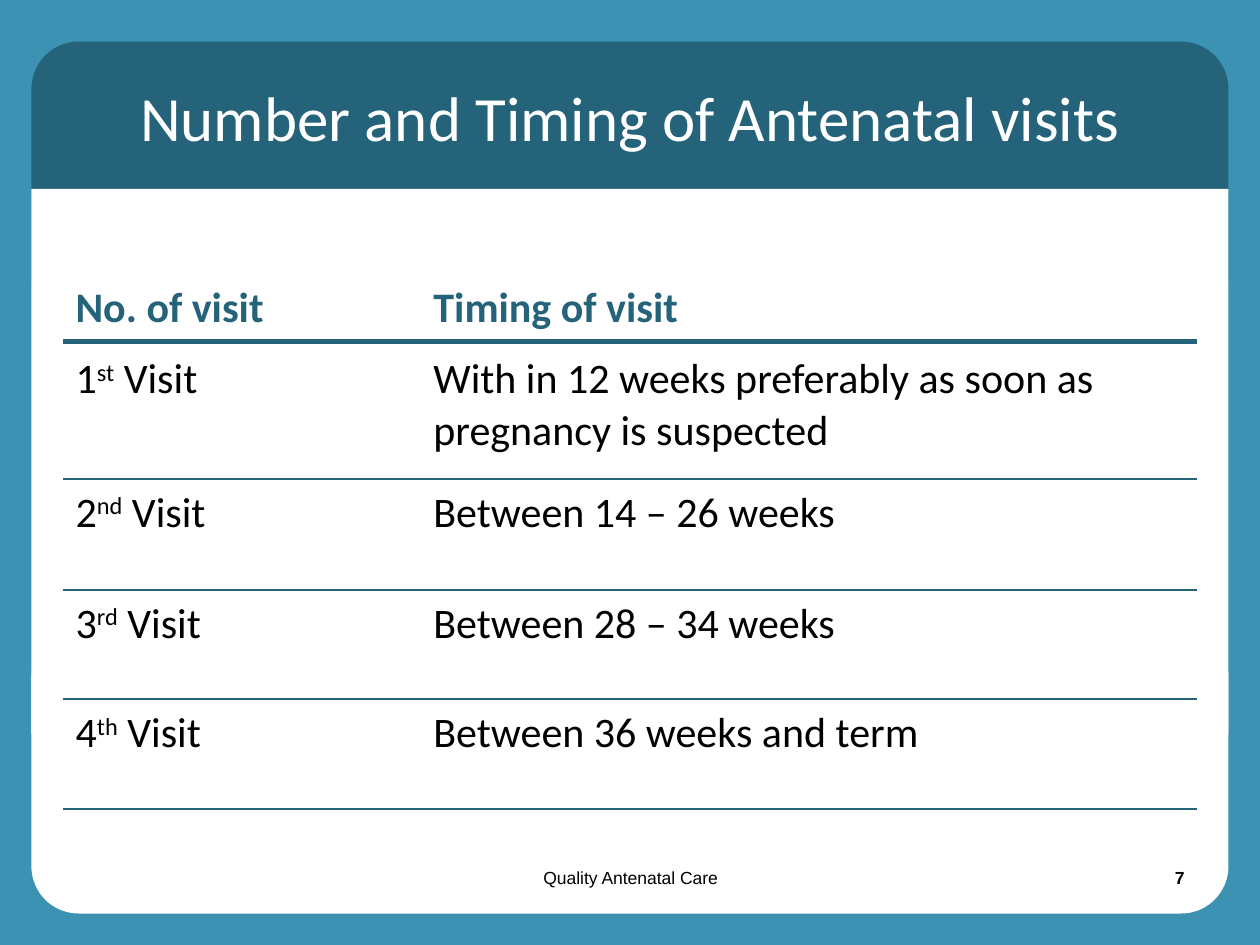
from dataclasses import dataclass
from itertools import accumulate

from lxml import etree
from pptx import Presentation
from pptx.dml.color import RGBColor
from pptx.enum import shapes, text
from pptx.oxml import ns
from pptx.util import Inches, Pt


@dataclass(frozen=True)
class Theme:
    sky: str = "3C92B3"
    teal: str = "24637A"
    white: str = "FFFFFF"
    black: str = "000000"
    body_font: str = "Calibri"
    footer_font: str = "Arial"
    title_size: int = 36
    table_size: int = 24
    footer_size: int = 10
    header_rule: int = 3
    row_rule: int = 1


THEME = Theme()
NO_STYLE = "{2D5ABB26-0587-4C30-8999-92F81FD0307C}"
TABLE_LEFT, TABLE_TOP = 0.5, 2.17
COLUMN_WIDTHS = (2.84, 6.16)
ROW_HEIGHTS = (0.54, 1.09, 0.88, 0.87, 0.87)
TOP_MARGINS = (0.07, 0.1, 0.07, 0.07, 0.07)
VISITS = (
    ("1", "st", "With in 12 weeks preferably as soon as pregnancy is suspected"),
    ("2", "nd", "Between 14 – 26 weeks"),
    ("3", "rd", "Between 28 – 34 weeks"),
    ("4", "th", "Between 36 weeks and term"),
)


def add_panel(slide, kind, left, top, width, height, color):
    panel = slide.shapes.add_shape(
        kind, Inches(left), Inches(top), Inches(width), Inches(height))
    panel.shadow.inherit = False
    panel.fill.solid()
    panel.fill.fore_color.rgb = RGBColor.from_string(color)
    panel.line.fill.background()


def add_span(para, words, size, color=THEME.black, font=THEME.body_font,
             bold=False, raised=False):
    span = para.add_run()
    span.text = words
    span.font.name = font
    span.font.size = Pt(size)
    span.font.bold = bold
    span.font.color.rgb = RGBColor.from_string(color)
    if raised:
        span.font._element.set("baseline", "30000")


def add_text(slide, left, top, width, height, words, align,
             anchor=text.MSO_ANCHOR.TOP, **style):
    box = slide.shapes.add_textbox(
        Inches(left), Inches(top), Inches(width), Inches(height))
    frame = box.text_frame
    frame.word_wrap = True
    frame.vertical_anchor = anchor
    para = frame.paragraphs[0]
    para.alignment = align
    add_span(para, words, **style)


def add_rule(slide, top, points):
    right = TABLE_LEFT + sum(COLUMN_WIDTHS)
    rule = slide.shapes.add_connector(
        shapes.MSO_CONNECTOR.STRAIGHT, Inches(TABLE_LEFT), Inches(top),
        Inches(right), Inches(top))
    rule.line.width = Pt(points)
    rule.line.color.rgb = RGBColor.from_string(THEME.teal)
    etree.SubElement(rule._element.spPr, ns.qn("a:effectLst"))


def add_visit_table(slide):
    table = slide.shapes.add_table(
        len(ROW_HEIGHTS), len(COLUMN_WIDTHS), Inches(TABLE_LEFT),
        Inches(TABLE_TOP), Inches(sum(COLUMN_WIDTHS)),
        Inches(sum(ROW_HEIGHTS))).table
    table.horz_banding = False
    table._tbl.tblPr.find(ns.qn("a:tableStyleId")).text = NO_STYLE
    for column, width in zip(table.columns, COLUMN_WIDTHS):
        column.width = Inches(width)
    for row, height, margin in zip(table.rows, ROW_HEIGHTS, TOP_MARGINS):
        row.height = Inches(height)
        for cell in row.cells:
            cell.fill.background()
            cell.margin_top = Inches(margin)

    size = THEME.table_size
    for column, heading in enumerate(("No. of visit", "Timing of visit")):
        para = table.cell(0, column).text_frame.paragraphs[0]
        add_span(para, heading, size, THEME.teal, bold=True)
    for row, (number, suffix, timing) in enumerate(VISITS, start=1):
        visit, when = (
            table.cell(row, column).text_frame.paragraphs[0]
            for column in range(2))
        add_span(visit, number, size)
        add_span(visit, suffix, size, raised=True)
        add_span(visit, " Visit", size)
        add_span(when, timing, size)


def add_row_rules(slide):
    for index, offset in enumerate(accumulate(ROW_HEIGHTS)):
        points = THEME.header_rule if index == 0 else THEME.row_rule
        add_rule(slide, TABLE_TOP + offset, points)


def add_background(slide):
    kinds = shapes.MSO_SHAPE
    add_panel(slide, kinds.RECTANGLE, 0, 0, 10, 7.5, THEME.sky)
    add_panel(slide, kinds.ROUNDED_RECTANGLE, 0.25, 0.33, 9.5, 2.25, THEME.teal)
    add_panel(slide, kinds.ROUNDED_RECTANGLE, 0.25, 5, 9.5, 2.25, THEME.white)
    add_panel(slide, kinds.RECTANGLE, 0.25, 1.5, 9.5, 4.33, THEME.white)


def main():
    deck = Presentation()
    deck.slide_width, deck.slide_height = Inches(10), Inches(7.5)
    slide = deck.slides.add_slide(deck.slide_layouts[6])
    align = text.PP_ALIGN
    footer = {"size": THEME.footer_size, "font": THEME.footer_font}

    add_background(slide)
    add_text(slide, 0.5, 0.3, 9, 1.25, "Number and Timing of Antenatal visits",
             align.CENTER, text.MSO_ANCHOR.MIDDLE,
             size=THEME.title_size, color=THEME.white)
    add_visit_table(slide)
    add_row_rules(slide)
    add_text(slide, 3.42, 6.83, 3.17, 0.52, "Quality Antenatal Care",
             align.CENTER, **footer)
    add_text(slide, 7.17, 6.83, 2.33, 0.52, "7", align.RIGHT, bold=True, **footer)
    deck.save("out.pptx")


if __name__ == "__main__":
    main()
